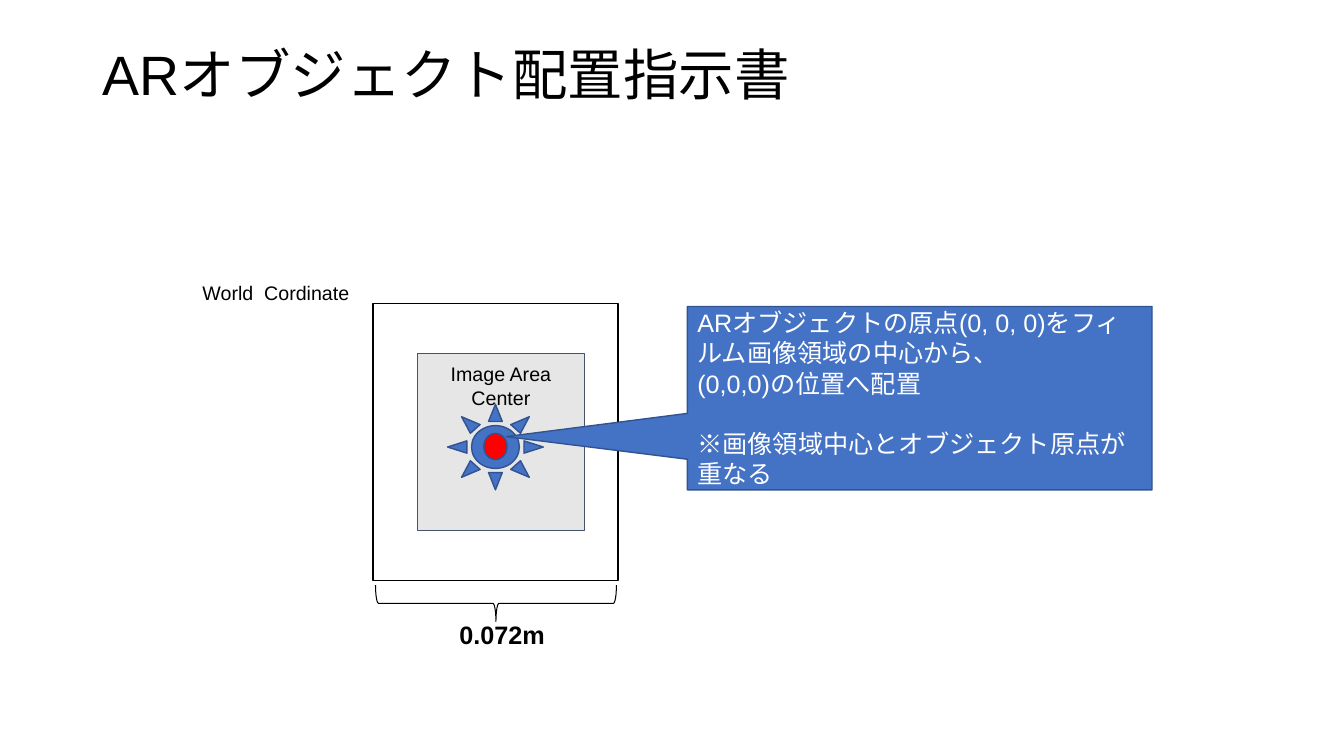
from pptx import Presentation
from pptx.dml.color import RGBColor
from pptx.enum.shapes import MSO_SHAPE as Kind
from pptx.enum.text import MSO_ANCHOR as Anchor, MSO_AUTO_SIZE as Auto, PP_ALIGN as Align
from pptx.util import Pt


def draw(home, kind, box, fill, line, width=1):
    """Add a preset shape to home; box is left, top, width, height in points."""
    shape = home.add_shape(kind, *map(Pt, box))
    shape.shadow.inherit = False
    if fill:
        shape.fill.solid()
        shape.fill.fore_color.rgb = RGBColor.from_string(fill)
    else:
        shape.fill.background()
    shape.line.color.rgb = RGBColor.from_string(line)
    shape.line.width = Pt(width)
    return shape


def write(shape, lines, size, color="000000", bold=False, align=Align.LEFT,
          anchor=Anchor.TOP, pad=3.6):
    """Set one paragraph per line; pad is the top and bottom inset."""
    frame = shape.text_frame
    frame.word_wrap = True
    frame.auto_size = Auto.NONE
    frame.vertical_anchor = anchor
    frame.margin_left = frame.margin_right = Pt(7.2)
    frame.margin_top = frame.margin_bottom = Pt(pad)
    for i, line in enumerate(lines):
        para = frame.add_paragraph() if i else frame.paragraphs[0]
        para.alignment = align
        run = para.add_run()
        run.text = line
        font = run.font
        font.name, font.size, font.bold = "Arial", Pt(size), bold
        font.color.rgb = RGBColor.from_string(color)
    return frame


deck = Presentation()
deck.slide_width, deck.slide_height = Pt(960), Pt(540)
slide = deck.slides.add_slide(deck.slide_layouts[5])
shapes = slide.shapes

# Title
title = shapes.title
title.left, title.top, title.width, title.height = map(Pt, (66.2, 28.8, 828, 53.3))
frame = write(title, ["ARオブジェクト配置指示書"], 39.6, anchor=Anchor.MIDDLE)
frame.paragraphs[0].line_spacing = 0.9

# Film with its image area
draw(shapes, Kind.RECTANGLE, (266.4, 216.7, 175, 198), "FFFFFF", "000000")
area = draw(shapes, Kind.RECTANGLE, (298.1, 252.7, 119.5, 126), "E7E6E6", "44546A", 0.75)
write(area, ["Image Area Center"], 14, align=Align.CENTER, pad=6)

# Labels
world = shapes.add_textbox(Pt(137.5), Pt(193.7), Pt(139), Pt(31.7))
write(world, ["World  Cordinate"], 14, pad=7.2)
width = shapes.add_textbox(Pt(321.1), Pt(438.5), Pt(77.8), Pt(28.8))
write(width, ["0.072m"], 18, bold=True)

# Brace under the film, turned to point down
brace = draw(shapes, Kind.LEFT_BRACE, (341.3, 344.9, 25.9, 172.1), None, "000000", 0.75)
brace.rotation = 270

# Object with its origin
group = shapes.add_group_shape().shapes
draw(group, Kind.SUN, (319.7, 288.7, 68.4, 61.2), "4472C4", "31538F")
draw(group, Kind.OVAL, (345.6, 309.6, 16.6, 18.7), "FF0000", "31538F")

# Placement note
note = draw(shapes, Kind.RECTANGULAR_CALLOUT, (491, 218.9, 331.9, 131), "4472C4", "31538F")
note.adjustments[0], note.adjustments[1] = -0.89, 0.21
frame = write(note, ["ARオブジェクトの原点(0, 0, 0)をフィルム画像領域の中心から、",
                     "(0,0,0)の位置へ配置",
                     "※画像領域中心とオブジェクト原点が重なる"],
              18, "FFFFFF", anchor=Anchor.MIDDLE)
frame.paragraphs[2].space_before = Pt(21.5)

deck.save("out.pptx")
